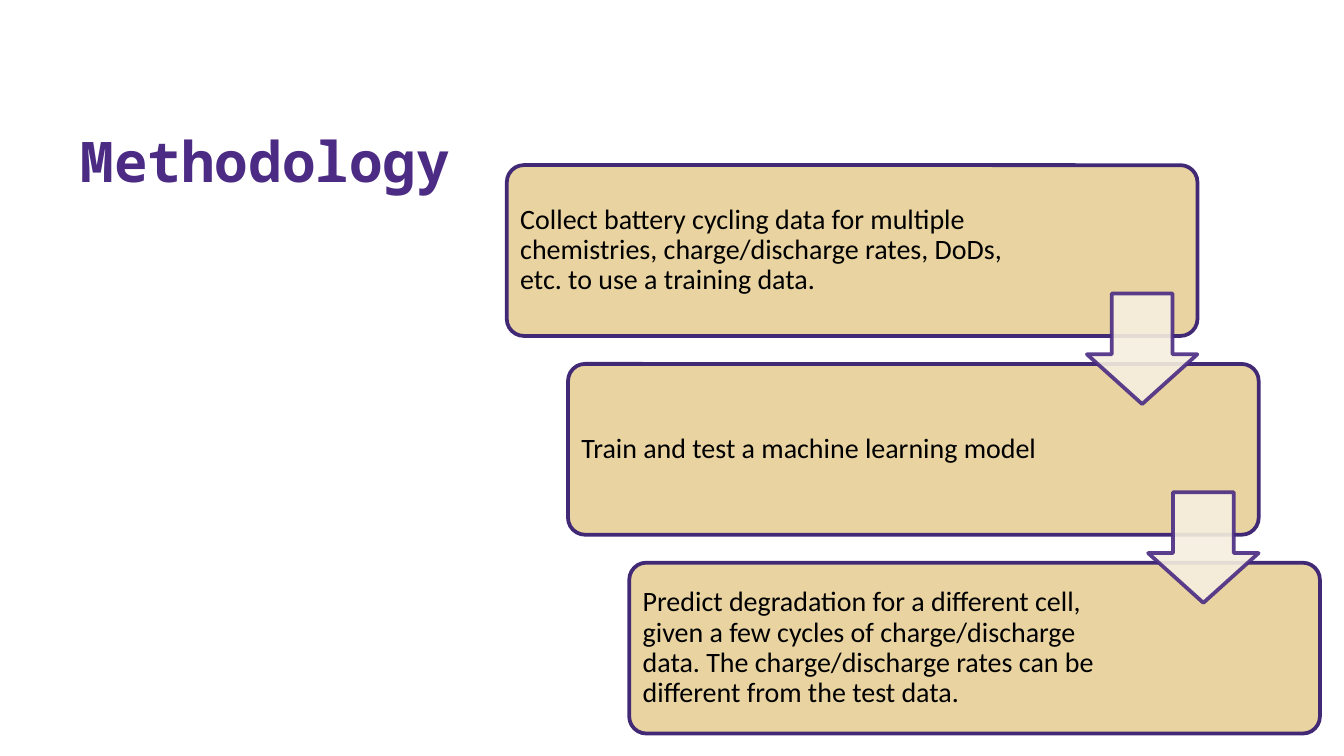
"""Build the Methodology slide: three descending steps joined by arrows."""
from lxml import etree
from pptx import Presentation
from pptx.dml.color import RGBColor
from pptx.enum.shapes import MSO_SHAPE
from pptx.enum.text import MSO_ANCHOR, PP_ALIGN
from pptx.oxml.ns import qn
from pptx.util import Pt

TITLE = "Methodology"
STEPS = [
    "Collect battery cycling data for multiple chemistries, charge/discharge rates, "
    "DoDs, etc. to use a training data.",
    "Train and test a machine learning model",
    "Predict degradation for a different cell, given a few cycles of charge/discharge "
    "data. The charge/discharge rates can be different from the test data.",
]

PURPLE = RGBColor(0x4B, 0x2B, 0x83)
BORDER = RGBColor(0x42, 0x29, 0x76)
ARROW_BORDER = RGBColor(0x4A, 0x2B, 0x83)
GOLD = RGBColor(0xE8, 0xD3, 0xA1)
CREAM = RGBColor(0xF6, 0xEF, 0xDF)
BLACK = RGBColor(0, 0, 0)

ROUNDED = MSO_SHAPE.ROUNDED_RECTANGLE
DOWN_ARROW = MSO_SHAPE.DOWN_ARROW
MIDDLE, BOTTOM = MSO_ANCHOR.MIDDLE, MSO_ANCHOR.BOTTOM
LEFT = PP_ALIGN.LEFT

TITLE_ONLY = 5
FIRST_LEFT, FIRST_TOP = 271.5, 88.5
STEP_WIDTH, STEP_HEIGHT = 370, 91.5
SHIFT_RIGHT, SHIFT_DOWN = 32.8, 106.5
TEXT_MARGIN, TEXT_WIDTH, TEXT_INSET = 2.7, 272.5, 4.5
ARROW_SIZE, ARROW_DROP = 59.2, 68.8


def add_block(slide, kind, bounds, adjustments, fill, border):
    shape = slide.shapes.add_shape(kind, *map(Pt, bounds))
    shape.shadow.inherit = False
    for index, value in enumerate(adjustments):
        shape.adjustments[index] = value
    shape.fill.solid()
    shape.fill.fore_color.rgb = fill
    shape.line.color.rgb = border
    shape.line.width = Pt(2)
    return shape


def set_opacity(shape, percent):
    for color in shape.element.spPr.iter(qn("a:srgbClr")):
        etree.SubElement(color, qn("a:alpha"), val=str(percent * 1000))


def write(para, text, font, size, color, bold=False):
    para.alignment = LEFT
    span = para.add_run()
    span.text = text
    span.font.name = font
    span.font.size = Pt(size)
    span.font.color.rgb = color
    span.font.bold = bold


def add_step_text(slide, text, left, top):
    bounds = (left + TEXT_MARGIN, top + TEXT_MARGIN,
              TEXT_WIDTH, STEP_HEIGHT - 2 * TEXT_MARGIN)
    frame = slide.shapes.add_textbox(*map(Pt, bounds)).text_frame
    frame.word_wrap = True
    frame.vertical_anchor = MIDDLE
    frame.margin_left = frame.margin_right = Pt(TEXT_INSET)
    frame.margin_top = frame.margin_bottom = Pt(TEXT_INSET)
    para = frame.paragraphs[0]
    para.line_spacing = 0.9
    write(para, text, "Calibri", 15, BLACK)


def main():
    deck = Presentation()
    deck.slide_width, deck.slide_height = Pt(720), Pt(405)
    page = deck.slides.add_slide(deck.slide_layouts[TITLE_ONLY])

    title = page.shapes.title
    title.left, title.top, title.width, title.height = map(Pt, (36, 29, 643.5, 78.5))
    title.text_frame.vertical_anchor = BOTTOM
    write(title.text_frame.paragraphs[0], TITLE, "Noto Sans Mono", 30, PURPLE, True)

    corners = [(FIRST_LEFT + i * SHIFT_RIGHT, FIRST_TOP + i * SHIFT_DOWN)
               for i in range(len(STEPS))]
    for text, (left, top) in zip(STEPS, corners):
        add_block(page, ROUNDED, (left, top, STEP_WIDTH, STEP_HEIGHT),
                  [0.1], GOLD, BORDER)
        add_step_text(page, text, left, top)
    for left, top in corners[:-1]:
        bounds = (left + STEP_WIDTH - ARROW_SIZE, top + ARROW_DROP,
                  ARROW_SIZE, ARROW_SIZE)
        arrow = add_block(page, DOWN_ARROW, bounds, [0.55, 0.45], CREAM, ARROW_BORDER)
        set_opacity(arrow, 90)

    deck.save("out.pptx")


if __name__ == "__main__":
    main()
